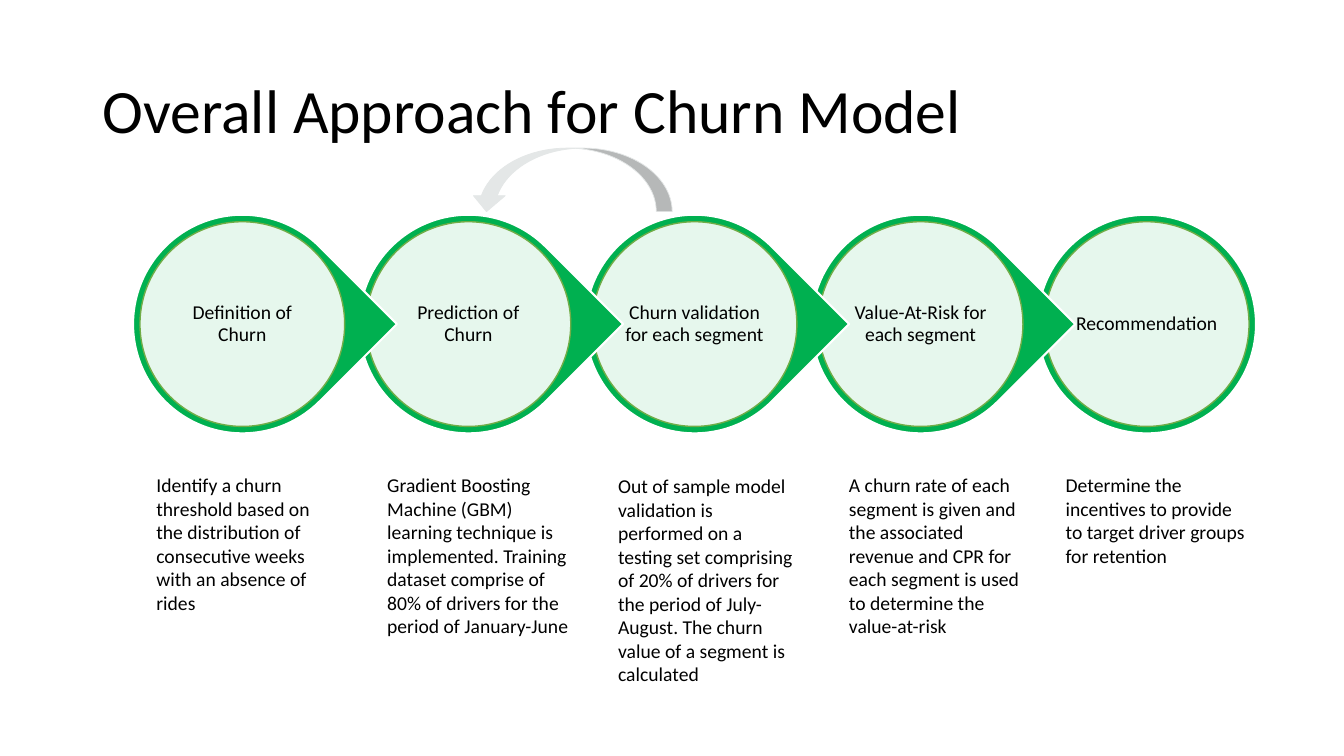
from dataclasses import dataclass

from lxml import etree
from pptx import Presentation
from pptx.dml.color import RGBColor
from pptx.enum.shapes import MSO_SHAPE
from pptx.enum.text import MSO_ANCHOR, MSO_AUTO_SIZE, PP_ALIGN
from pptx.oxml.ns import qn
from pptx.util import Pt

ELLIPSE, TEARDROP = MSO_SHAPE.OVAL, MSO_SHAPE.TEAR
CURVED_ARROW = MSO_SHAPE.CURVED_DOWN_ARROW
LEFT, CENTER = PP_ALIGN.LEFT, PP_ALIGN.CENTER
MIDDLE, TOP = MSO_ANCHOR.MIDDLE, MSO_ANCHOR.TOP


@dataclass(frozen=True)
class Theme:
    font: str = "Calibri"
    title: float = 44
    body: float = 14
    text: RGBColor = RGBColor(0, 0, 0)
    white: RGBColor = RGBColor(0xFF, 0xFF, 0xFF)
    green: RGBColor = RGBColor(0x00, 0xB0, 0x50)
    rim: RGBColor = RGBColor(0x70, 0xAD, 0x47)
    loop: RGBColor = RGBColor(0xE4, 0xE7, 0xE7)


theme = Theme()

# Stage label, description, left and top of the description
STAGES = [
    ("Definition of Churn",
     "Identify a churn threshold based on the distribution of consecutive "
     "weeks with an absence of rides", 108.7, 334.8),
    ("Prediction of Churn",
     "Gradient Boosting Machine (GBM) learning technique is implemented. "
     "Training dataset comprise of 80% of drivers for the period of "
     "January-June", 273.6, 334.8),
    ("Churn validation for each segment",
     "Out of sample model validation is performed on a testing set comprising "
     "of 20% of drivers for the period of July-August. The churn value of a "
     "segment is calculated", 438.5, 335.5),
    ("Value-At-Risk for each segment",
     "A churn rate of each segment is given and the associated revenue and "
     "CPR for each segment is used to determine the value-at-risk",
     603.4, 334.8),
    ("Recommendation",
     "Determine the incentives to provide to target driver groups for "
     "retention", 758.2, 334.8),
]
FIRST_LEFT, CIRCLE_TOP, PITCH = 95, 153.4, 161.5
OUTER, INNER, LABEL = 156.2, 146.2, 104.4

prs = Presentation()
prs.slide_width, prs.slide_height = Pt(960), Pt(540)
s = prs.slides.add_slide(prs.slide_layouts[5])


def add_shape(kind, x, y, w, h, fill, line, weight):
    sp = s.shapes.add_shape(kind, Pt(x), Pt(y), Pt(w), Pt(h))
    sp.shadow.inherit = False
    sp.fill.solid()
    sp.fill.fore_color.rgb = fill
    sp.line.color.rgb = line
    sp.line.width = Pt(weight)
    return sp


def add_text(text, x, y, w, h, inset, align, anchor):
    sp = s.shapes.add_textbox(Pt(x), Pt(y), Pt(w), Pt(h))
    tf = sp.text_frame
    tf.word_wrap = True
    tf.vertical_anchor = anchor
    tf.margin_left = tf.margin_right = Pt(inset)
    tf.margin_top = tf.margin_bottom = Pt(inset)
    tf.text = text
    p = tf.paragraphs[0]
    p.alignment = align
    p.font.name, p.font.size = theme.font, Pt(theme.body)
    p.font.color.rgb = theme.text
    return tf


# Chain of stages, last one at the back so each point overlaps the next circle
last = len(STAGES) - 1
for i in range(last, -1, -1):
    x = FIRST_LEFT + i * PITCH
    outer = add_shape(ELLIPSE if i == last else TEARDROP, x, CIRCLE_TOP,
                      OUTER, OUTER, theme.green, theme.white, 1.5)
    if i < last:
        outer.rotation = 45
    gap = (OUTER - INNER) / 2
    inner = add_shape(ELLIPSE, x + gap, CIRCLE_TOP + gap, INNER, INNER,
                      theme.white, theme.rim, 1)
    color = inner.fill._xPr.find(qn("a:solidFill"))[0]
    etree.SubElement(color, qn("a:alpha"), val="90000")
    gap = (OUTER - LABEL) / 2
    tf = add_text(STAGES[i][0], x + gap, CIRCLE_TOP + gap, LABEL, LABEL,
                  1.4, CENTER, MIDDLE)
    tf.paragraphs[0].line_spacing = 0.9

title = s.shapes.title
title.left, title.top, title.width, title.height = (
    Pt(66), Pt(28.75), Pt(828), Pt(104.4))
tf = title.text_frame
tf.text = "Overall Approach for Churn Model"
tf.vertical_anchor = MIDDLE
p = tf.paragraphs[0]
p.alignment, p.line_spacing = LEFT, 0.9
p.font.name, p.font.size = theme.font, Pt(theme.title)
p.font.color.rgb = theme.text

for label, description, x, y in STAGES:
    tf = add_text(description, x, y, 136, 107, 3, LEFT, TOP)
    tf.auto_size = MSO_AUTO_SIZE.SHAPE_TO_FIT_TEXT

# Feedback from validation to prediction
loop = add_shape(CURVED_ARROW, 336.2, 105.8, 144, 45.4,
                 theme.loop, theme.loop, 0.5)
loop._element.spPr.find(qn("a:xfrm")).set("flipH", "1")

prs.save("out.pptx")
